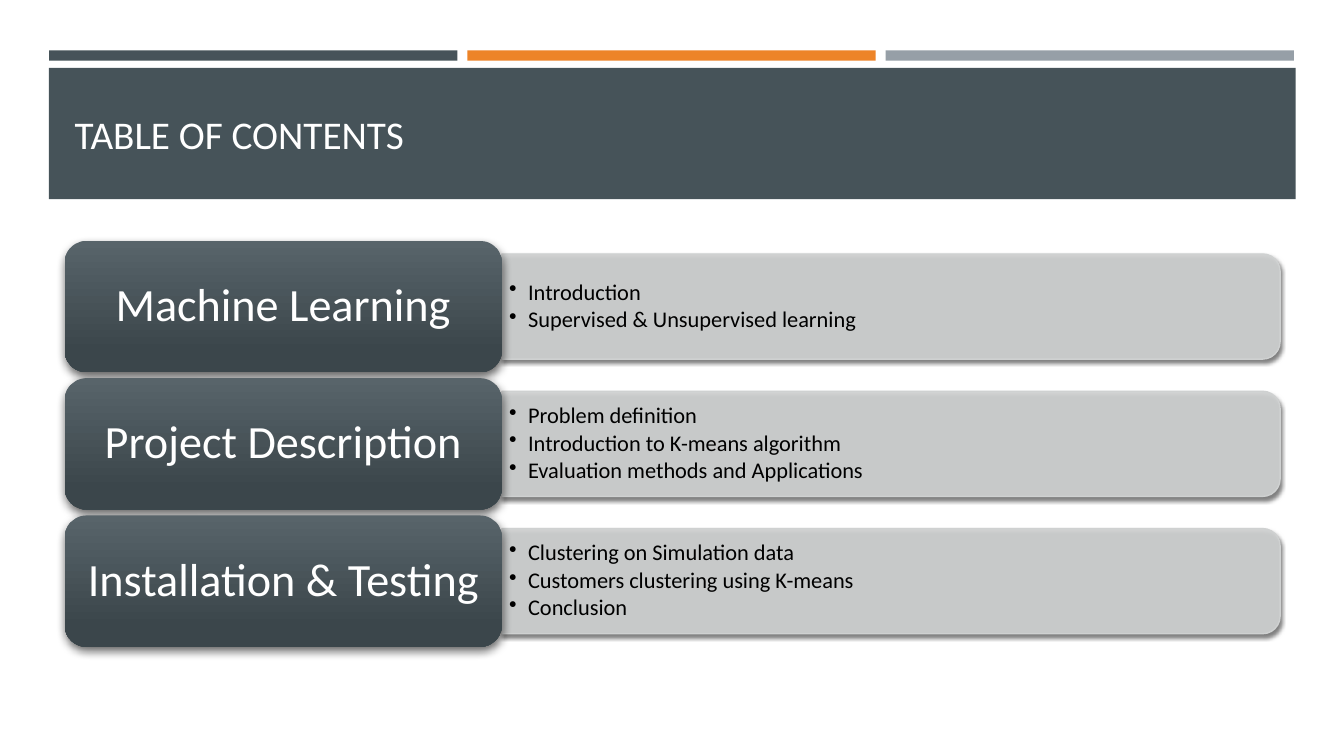
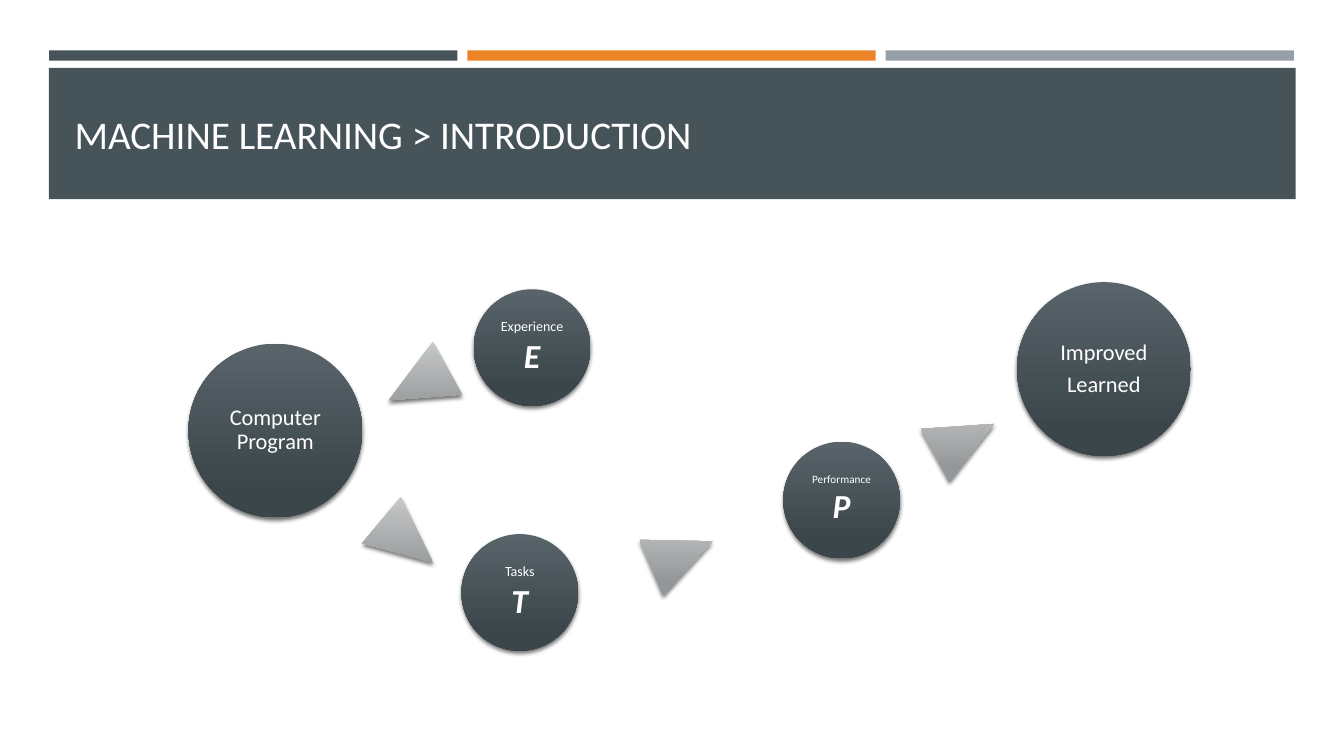
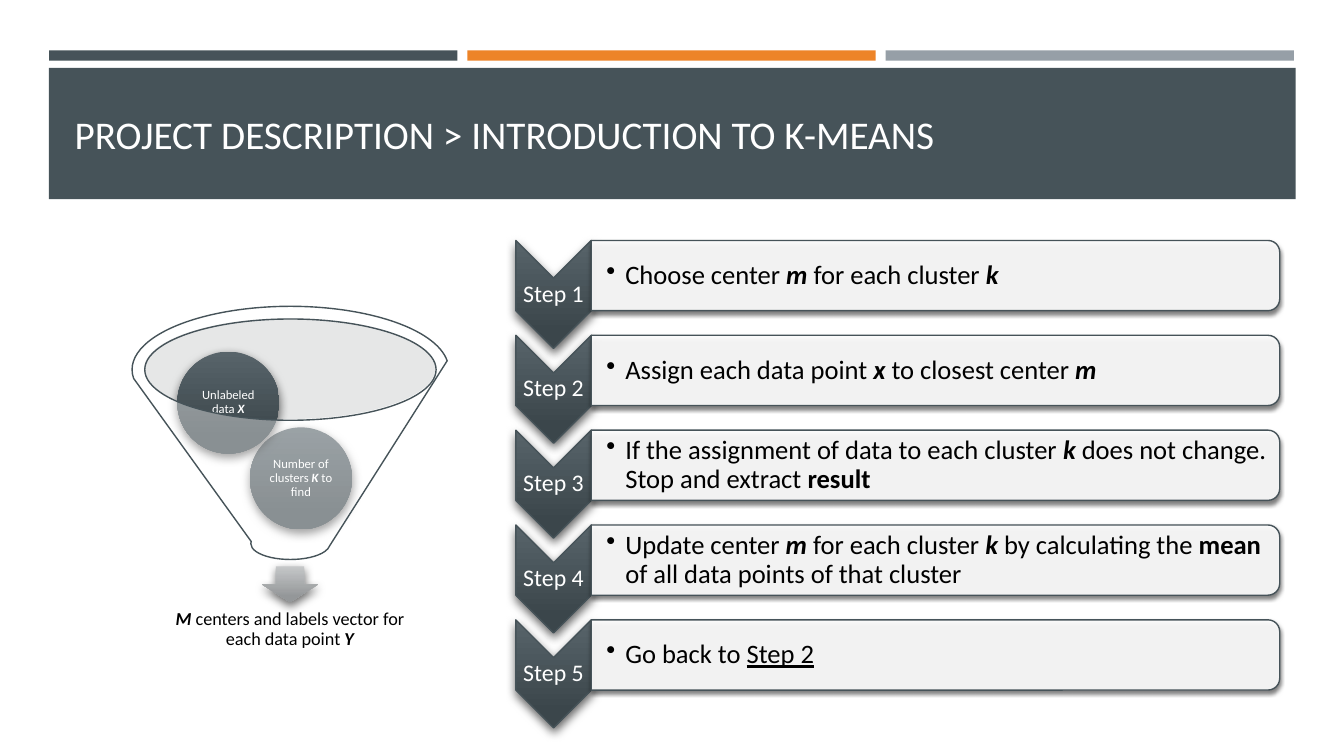
from collections import namedtuple

from lxml import etree
from pptx import Presentation
from pptx import util as u
from pptx.dml import color
from pptx.enum import shapes, text
from pptx.oxml import ns

Box = namedtuple("Box", "left top width height")
Kind = shapes.MSO_SHAPE
Align = text.PP_ALIGN

SLATE = color.RGBColor(0x46, 0x53, 0x59)
ORANGE = color.RGBColor(0xED, 0x84, 0x28)
STEEL = color.RGBColor(0x96, 0x9F, 0xA7)
PALE = color.RGBColor(0xCF, 0xD1, 0xD1)
MOUTH = color.RGBColor(0xC1, 0xC3, 0xC4)
WHITE = color.RGBColor(0xFF, 0xFF, 0xFF)
BLACK = color.RGBColor(0x00, 0x00, 0x00)
DARK = (color.RGBColor(0x58, 0x64, 0x6A), color.RGBColor(0x3B, 0x46, 0x4B))
GREY = (color.RGBColor(0xC5, 0xC7, 0xC8), color.RGBColor(0x94, 0x97, 0x99))

FONT = "Calibri"
SOFT = {"alpha": 55, "blur": 3, "distance": 2, "angle": 90}
DEEP = {"alpha": 60, "blur": 7, "distance": 3, "angle": 84}

STRIPES = Box(1.24, 1.27, 10.29, 0.26)
STRIPE_PITCH = 10.54
BAND = Box(1.23, 1.71, 31.42, 3.31)
TITLE = Box(1.63, 1.95, 30.63, 2.83)

CONTENTS = [
    ("Machine Learning", ["Introduction", "Supervised & Unsupervised learning"]),
    ("Project Description", ["Problem definition", "Introduction to K-means algorithm",
                             "Evaluation methods and Applications"]),
    ("Installation & Testing", ["Clustering on Simulation data",
                                "Customers clustering using K-means", "Conclusion"]),
]
CIRCLES = [
    (0, 1.55, 4.38, ["Computer Program"], 16),
    (7.19, 0.18, 2.94, ["Experience", [("E", "bi", 24)]], 10),
    (6.88, 6.35, 2.94, ["Tasks", [("T", "bi", 24)]], 10),
    (14.99, 4.02, 2.94, ["Performance", [("P", "bi", 24)]], 8),
    (20.88, 0, 4.38, ["Improved", "Learned"], 16),
]
ARROWHEADS = [(5.03, 1.73, 241.2), (4.75, 5.69, 129.7), (11.68, 6.02, 66.8), (18.8, 3.13, 61.8)]
STEPS = [
    ["Choose center ", ("m", "bi"), " for each cluster ", ("k", "bi")],
    ["Assign each data point ", ("x", "bi"), " to closest center ", ("m", "bi")],
    ["If the assignment of data to each cluster ", ("k", "bi"),
     " does not change. Stop and extract ", ("result", "b")],
    ["Update center ", ("m", "bi"), " for each cluster ", ("k", "bi"), " by calculating the ",
     ("mean", "b"), " of all data points of that cluster"],
    ["Go back to ", ("Step 2", "u")],
]
BALLS = [
    (2.97, 3.05, ["Number of clusters ", ("K", "bi"), " to find"]),
    (1.14, 1.14, ["Unlabeled data ", ("X", "bi")]),
]


def lengths(box):
    return [u.Cm(value) for value in box]


def add_child(parent, tag, **attributes):
    child = etree.SubElement(parent, ns.qn(tag))
    for name, value in attributes.items():
        child.set(name, str(value))
    return child


def add_shadow(shape, alpha, blur, distance, angle):
    effects = shape._element.spPr.find(ns.qn("a:effectLst"))
    outer = add_child(effects, "a:outerShdw", blurRad=u.Pt(blur), dist=u.Pt(distance),
                      dir=angle * 60000, algn="ctr", rotWithShape=0)
    tint = add_child(outer, "a:srgbClr", val=BLACK)
    add_child(tint, "a:alpha", val=alpha * 1000)


def draw(page, kind, box, fill, alpha=None, line=None, shadow=None, rotation=0):
    shape = page.shapes.add_shape(kind, *lengths(box))
    shape.rotation = rotation
    shape.shadow.inherit = False
    if isinstance(fill, tuple) and len(fill) == 2:
        shape.fill.gradient()
        shape.fill.gradient_angle = 270
        for stop, tint, position in zip(shape.fill.gradient_stops, fill, (0, 0.84)):
            stop.color.rgb = tint
            stop.position = position
        shape._element.spPr.find(ns.qn("a:gradFill")).set("rotWithShape", "0")
    else:
        shape.fill.solid()
        shape.fill.fore_color.rgb = fill
        if alpha:
            tint = shape._element.spPr.find(ns.qn("a:solidFill"))[0]
            add_child(tint, "a:alpha", val=alpha * 1000)
    if line:
        shape.line.color.rgb = line
        shape.line.width = u.Pt(1)
    else:
        shape.line.fill.background()
    if shadow:
        add_shadow(shape, **shadow)
    return shape


def draw_turned(page, kind, box, fill, **look):
    left = box.left + (box.width - box.height) / 2
    top = box.top + (box.height - box.width) / 2
    return draw(page, kind, Box(left, top, box.height, box.width), fill, rotation=90, **look)


def write(shape, paragraphs, size, tint=WHITE, align=Align.CENTER, inset=(0.03, 0.03),
          spacing=0.9, after=0.35, bullet=False):
    frame = shape.text_frame
    frame.word_wrap = True
    frame.vertical_anchor = text.MSO_ANCHOR.MIDDLE
    frame.margin_left = u.Cm(inset[0])
    frame.margin_right = u.Cm(inset[-1] if len(inset) == 3 else inset[0])
    frame.margin_top = frame.margin_bottom = u.Cm(inset[1])
    for index, content in enumerate(paragraphs):
        para = frame.paragraphs[0] if index == 0 else frame.add_paragraph()
        para.alignment = align
        para.line_spacing = spacing
        para.space_after = u.Pt(round(size * after, 1))
        if bullet:
            layout = para._p.get_or_add_pPr()
            layout.set("marL", str(u.Cm(0.48)))
            layout.set("indent", str(u.Cm(-0.48)))
            add_child(layout, "a:buChar", char="•")
        for piece in [content] if isinstance(content, str) else content:
            words, style, points = ((piece,) if isinstance(piece, str) else piece) + ("", size)[
                (0 if isinstance(piece, str) else len(piece) - 1):]
            span = para.add_run()
            span.text = words
            span.font.name = FONT
            span.font.size = u.Pt(points)
            span.font.color.rgb = tint
            span.font.bold = "b" in style
            span.font.italic = "i" in style
            span.font.underline = "u" in style


def write_box(page, box, paragraphs, size, **form):
    write(page.shapes.add_textbox(*lengths(box)), paragraphs, size, **form)


def add_page(deck, title):
    page = deck.slides.add_slide(deck.slide_layouts[6])
    for index, tint in enumerate((SLATE, ORANGE, STEEL)):
        draw(page, Kind.RECTANGLE,
             STRIPES._replace(left=STRIPES.left + index * STRIPE_PITCH), tint)
    draw(page, Kind.RECTANGLE, BAND, SLATE)
    write_box(page, TITLE, [title], 28, align=Align.LEFT, inset=(0.25, 0.13),
              spacing=1.0, after=0)
    return page


def add_contents(page, box):
    pitch, label_height, label_width, panel_height = 3.46, 3.31, 11.02, 2.65
    for index, (label, topics) in enumerate(CONTENTS):
        top = box.top + index * pitch
        panel = Box(box.left + label_width, top + (label_height - panel_height) / 2,
                    box.width - label_width, panel_height)
        draw_turned(page, Kind.ROUND_2_SAME_RECTANGLE, panel, PALE, alpha=90,
                    line=PALE, shadow=SOFT)
        write_box(page, panel, topics, 16, tint=BLACK, align=Align.LEFT,
                  inset=(0.18, 0.09), after=0.15, bullet=True)
        block = draw(page, Kind.ROUNDED_RECTANGLE,
                     Box(box.left, top, label_width, label_height), DARK, shadow=DEEP)
        write(block, [label], 33, inset=(0.36, 0.18))


def add_learning_flow(page, box):
    for left, top, rotation in ARROWHEADS:
        draw(page, Kind.ISOSCELES_TRIANGLE, Box(box.left + left, box.top + top, 1.52, 1.68),
             GREY, shadow=SOFT, rotation=rotation)
    for left, top, width, lines, size in CIRCLES:
        circle = draw(page, Kind.OVAL, Box(box.left + left, box.top + top, width, width),
                      DARK, shadow=SOFT)
        write(circle, lines, size)


def add_funnel(page, box):
    def inside(left, top, width, height):
        return Box(box.left + left, box.top + top, width, height)

    draw(page, Kind.OVAL, inside(0.3, 0.3, 7.34, 2.54), MOUTH, alpha=40)
    draw(page, Kind.DOWN_ARROW, inside(3.27, 6.55, 1.42, 0.91), GREY, shadow=DEEP)
    write_box(page, inside(0.56, 7.29, 6.83, 1.7),
              [[("M", "bi"), " centers and labels vector for each data point ", ("Y", "bi")]],
              13, tint=BLACK, inset=(0.25, 0.25))
    for left, top, words in BALLS:
        ball = draw(page, Kind.OVAL, inside(left, top, 2.57, 2.57), DARK, shadow=DEEP)
        write(ball, [words], 9)
    draw(page, Kind.FUNNEL, box, WHITE, alpha=40, line=SLATE)


def add_steps(page, box):
    pitch, arrow_width, arrow_height, panel_height = 2.39, 1.9, 2.72, 1.77
    for index, words in enumerate(STEPS):
        top = box.top + index * pitch
        arrow = Box(box.left, top, arrow_width, arrow_height)
        draw_turned(page, Kind.CHEVRON, arrow, DARK, line=SLATE, shadow=DEEP)
        write_box(page, Box(box.left, top + arrow_width / 2, arrow_width,
                            arrow_height - arrow_width), [f"Step {index + 1}"], 17)
        panel = Box(box.left + arrow_width, top, box.width - arrow_width, panel_height)
        draw_turned(page, Kind.ROUND_2_SAME_RECTANGLE, panel, WHITE, alpha=90,
                    line=SLATE, shadow=SOFT)
        write_box(page, panel._replace(width=panel.width - 0.08), [words], 19, tint=BLACK,
                  align=Align.LEFT, inset=(0.38, 0.03, 0.03), after=0.15, bullet=True)


def main():
    deck = Presentation()
    deck.slide_width = u.Cm(33.87)
    deck.slide_height = u.Cm(19.05)
    add_contents(add_page(deck, "TABLE OF CONTENTS"), Box(1.63, 6.07, 30.63, 10.23))
    add_learning_flow(add_page(deck, "MACHINE LEARNING > INTRODUCTION"),
                      Box(4.75, 7.11, 25.26, 9.29))
    page = add_page(deck, "PROJECT DESCRIPTION > INTRODUCTION TO K-MEANS")
    add_funnel(page, Box(3.33, 7.72, 7.98, 6.38))
    add_steps(page, Box(13.0, 6.06, 19.25, 12.28))
    deck.save("out.pptx")


if __name__ == "__main__":
    main()
